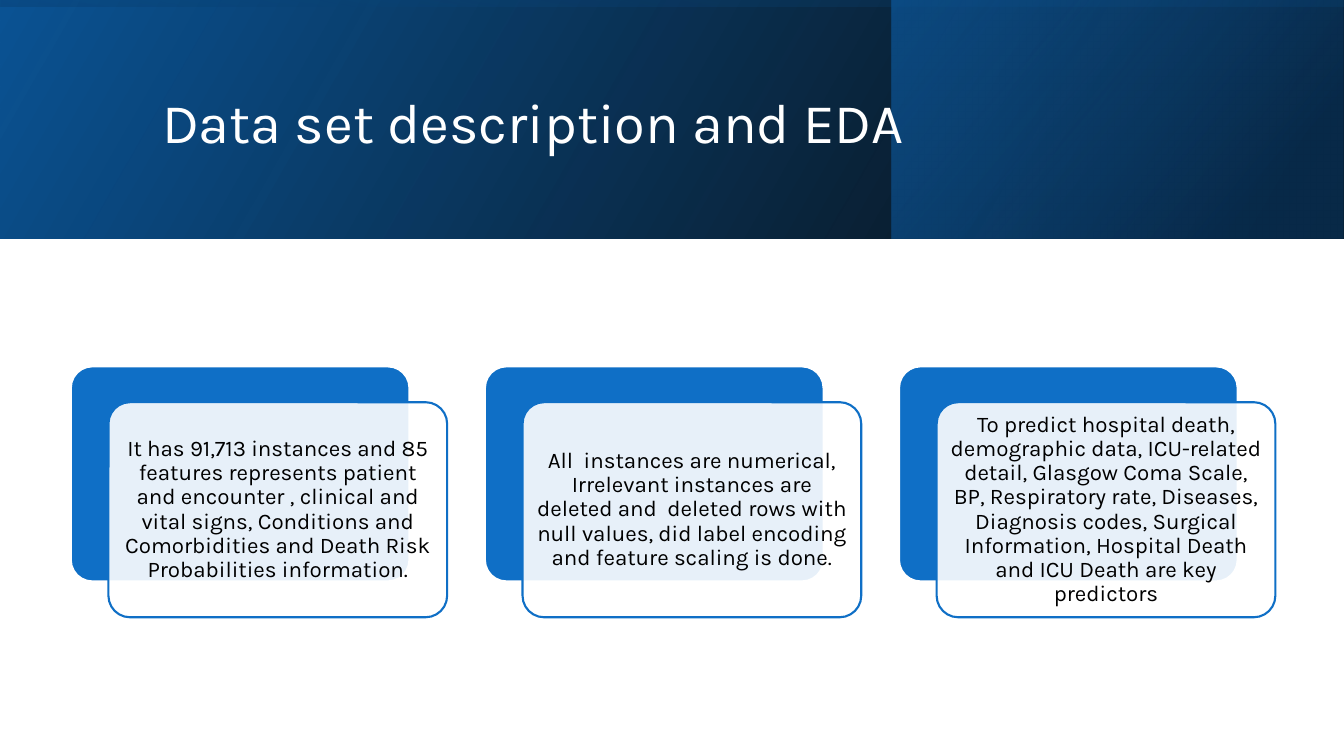
"""Build the slide on the data set description and EDA."""
from lxml import etree
from pptx import Presentation
from pptx.dml.color import RGBColor
from pptx.enum.shapes import MSO_SHAPE as SHAPE
from pptx.enum.text import MSO_ANCHOR as ANCHOR, PP_ALIGN as ALIGN
from pptx.oxml import parse_xml
from pptx.oxml.ns import nsdecls, qn
from pptx.util import Pt


def rgb(value):
    return RGBColor.from_string(value)


def add_text(s, box, text, size, color, align, inset):
    tf = s.shapes.add_textbox(*map(Pt, box)).text_frame
    tf.word_wrap = True
    tf.vertical_anchor = ANCHOR.MIDDLE
    tf.margin_left = tf.margin_right = Pt(inset[0])
    tf.margin_top = tf.margin_bottom = Pt(inset[1])
    p = tf.paragraphs[0]
    p.alignment = align
    p.line_spacing = 0.9
    r = p.add_run()
    r.text = text
    r.font.name = "Karla"
    r.font.size = Pt(size)
    r.font.color.rgb = rgb(color)


prs = Presentation()
prs.slide_width, prs.slide_height = Pt(960), Pt(540)
s = prs.slides.add_slide(prs.slide_layouts[6])

WIDTH, BAND = 960, 170.6
MID = (WIDTH - BAND) / 2
bands = [
    ((0, 0, WIDTH, BAND), 0, 330, [(0, "000000", 96), (100, "0B5394", 100)]),
    ((636.8, 0, 322.8, BAND), 0, 320, [(19, "083763", 68), (100, "0F6FC6", 48)]),
    ((MID, -MID, BAND, WIDTH), 270, 350, [(23, "0B5394", 16), (99, "000000", 45)]),
]
for box, rotation, angle, stops in bands:
    sp = s.shapes.add_shape(SHAPE.RECTANGLE, *map(Pt, box))
    sp.shadow.inherit = False
    sp.rotation = rotation
    sp.line.fill.background()
    xfrm = sp.element.spPr.find(qn("a:xfrm"))
    xfrm.set("flipH", "1")
    gs = "".join(
        f'<a:gs pos="{pos * 1000}"><a:srgbClr val="{color}">'
        f'<a:alpha val="{alpha * 1000}"/></a:srgbClr></a:gs>'
        for pos, color, alpha in stops)
    sp.element.spPr.find(qn("a:prstGeom")).addnext(parse_xml(
        f'<a:gradFill {nsdecls("a")} rotWithShape="1"><a:gsLst>{gs}</a:gsLst>'
        f'<a:lin ang="{angle * 60000}" scaled="0"/></a:gradFill>'))

add_text(s, (108.7, 27.4, 765.4, 123.8), "Data set description and EDA",
         40, "FFFFFF", ALIGN.LEFT, (7.2, 3.6))

cards = [
    "It has 91,713 instances and 85 features represents patient and encounter , "
    "clinical and vital signs, Conditions and Comorbidities and Death Risk "
    "Probabilities information.",
    "All  instances are numerical, Irrelevant instances are deleted and  deleted "
    "rows with null values, did label encoding and feature scaling is done.",
    "To predict hospital death, demographic data, ICU-related detail, Glasgow Coma "
    "Scale, BP, Respiratory rate, Diseases, Diagnosis codes, Surgical Information, "
    "Hospital Death and ICU Death are key predictors",
]
LEFT, TOP, PITCH = 50.6, 261.7, 295.8
CARD_W, CARD_H, EDGE = 241.9, 153.6, 4.5
for i, text in enumerate(cards):
    x = LEFT + i * PITCH
    front_x, front_y = x + 26.9, TOP + 25.6
    for left, top, fill, line, alpha in [
            (x, TOP, "0F6FC6", "FFFFFF", 100),
            (front_x, front_y, "FFFFFF", "0F6FC6", 90)]:
        sp = s.shapes.add_shape(SHAPE.ROUNDED_RECTANGLE, Pt(left), Pt(top),
                                Pt(CARD_W), Pt(CARD_H))
        sp.shadow.inherit = False
        sp.adjustments[0] = 0.1
        sp.fill.solid()
        sp.fill.fore_color.rgb = rgb(fill)
        sp.line.color.rgb = rgb(line)
        sp.line.width = Pt(1.5)
        if alpha < 100:
            clr = sp.element.spPr.find(qn("a:solidFill"))[0]
            etree.SubElement(clr, qn("a:alpha"), val=str(alpha * 1000))
    add_text(s, (front_x + EDGE, front_y + EDGE, CARD_W - 2 * EDGE, CARD_H - 2 * EDGE),
             text, 16, "000000", ALIGN.CENTER, (4.8, 4.8))

prs.save("out.pptx")
